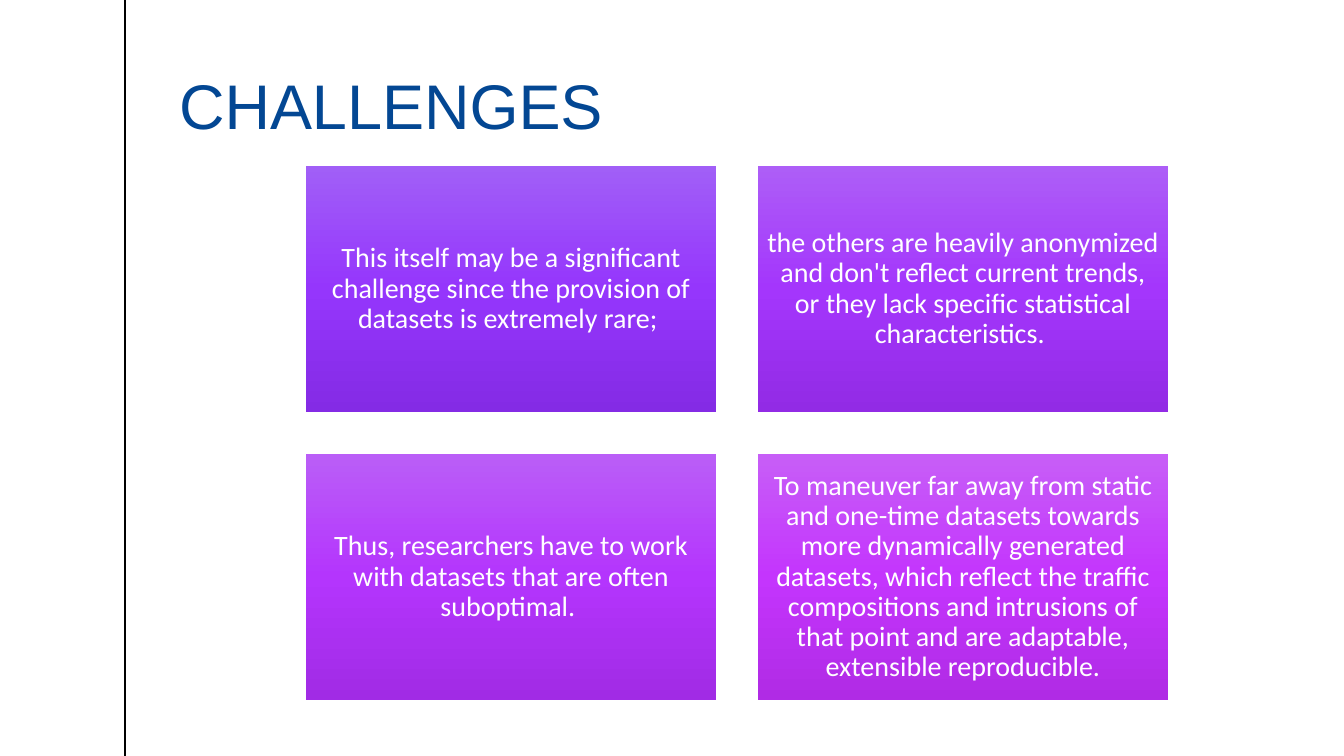
from copy import deepcopy

from lxml import etree
from pptx import Presentation
from pptx.dml.color import RGBColor
from pptx.enum.shapes import MSO_CONNECTOR, MSO_SHAPE
from pptx.enum.text import MSO_ANCHOR, MSO_AUTO_SIZE, PP_ALIGN
from pptx.oxml.ns import qn
from pptx.util import Pt

PX = 914400 / 100.8  # EMU in one pixel

BLACK = RGBColor(0x00, 0x00, 0x00)
WHITE = RGBColor(0xFF, 0xFF, 0xFF)
TITLE_BLUE = RGBColor(0x03, 0x47, 0x93)

# Text of each card with its top, middle and bottom gradient colours
CARDS = [
    ("This itself may be a significant challenge since the provision of "
     "datasets is extremely rare; ",
     (RGBColor(0xA1, 0x5F, 0xF7), RGBColor(0x95, 0x36, 0xFC), RGBColor(0x84, 0x2B, 0xE5))),
    ("the others are heavily anonymized and don't reflect current trends, "
     "or they lack specific statistical characteristics. ",
     (RGBColor(0xAD, 0x5E, 0xF7), RGBColor(0xA4, 0x36, 0xFC), RGBColor(0x92, 0x2B, 0xE5))),
    ("Thus, researchers have to work with datasets that are often suboptimal. ",
     (RGBColor(0xBA, 0x5E, 0xF7), RGBColor(0xB4, 0x35, 0xFD), RGBColor(0xA1, 0x2B, 0xE5))),
    ("To maneuver far away from static and one-time datasets towards more "
     "dynamically generated datasets, which reflect the traffic compositions "
     "and intrusions of that point and are adaptable, extensible reproducible.",
     (RGBColor(0xC7, 0x5E, 0xF7), RGBColor(0xC4, 0x35, 0xFD), RGBColor(0xB0, 0x2B, 0xE5))),
]
CARD_LEFT, CARD_TOP = 306, 166
CARD_WIDTH, CARD_HEIGHT = 410, 246
COLUMN_STEP, ROW_STEP = 452, 288


def px(*lengths):
    return [round(length * PX) for length in lengths]


def write_text(shape, text, insets, anchor, alignment, font_name, size, color):
    frame = shape.text_frame
    frame.word_wrap = True
    frame.auto_size = MSO_AUTO_SIZE.NONE
    frame.vertical_anchor = anchor
    frame.margin_left, frame.margin_top = px(*insets)
    frame.margin_right, frame.margin_bottom = px(*insets)
    paragraph = frame.paragraphs[0]
    paragraph.alignment = alignment
    paragraph.line_spacing = 0.9
    paragraph.space_before = Pt(0)
    run = paragraph.add_run()
    run.text = text
    run.font.name = font_name
    run.font.size = Pt(size)
    run.font.color.rgb = color


presentation = Presentation()
presentation.slide_width, presentation.slide_height = px(1344, 756)
slide = presentation.slides.add_slide(presentation.slide_layouts[5])

# Vertical rule at the left
rule = slide.shapes.add_connector(MSO_CONNECTOR.STRAIGHT, *px(125, 0, 125, 756))
rule.line.color.rgb = BLACK
rule.line.width = Pt(1)
etree.SubElement(rule._element.spPr, qn("a:effectLst"))

# Title
title = slide.shapes.title
title.left, title.top, title.width, title.height = px(179, 37, 1117, 111)
write_text(title, "CHALLENGES", (0, 5), MSO_ANCHOR.BOTTOM, PP_ALIGN.LEFT,
           "Arial", 45, TITLE_BLUE)

# Two by two grid of gradient cards
for index, (text, colors) in enumerate(CARDS):
    row, column = divmod(index, 2)
    card = slide.shapes.add_shape(MSO_SHAPE.RECTANGLE, *px(
        CARD_LEFT + column * COLUMN_STEP, CARD_TOP + row * ROW_STEP,
        CARD_WIDTH, CARD_HEIGHT))
    card.shadow.inherit = False
    card.line.fill.background()
    card.fill.gradient()
    card.fill.gradient_angle = 270
    first_stop = card._element.spPr.find(".//" + qn("a:gs"))
    first_stop.addnext(deepcopy(first_stop))
    for stop, position, color in zip(card.fill.gradient_stops, (0, 0.5, 1), colors):
        stop.position = position
        stop.color.rgb = color
    write_text(card, text, (8, 8), MSO_ANCHOR.MIDDLE, PP_ALIGN.CENTER,
               "Calibri", 20, WHITE)
    card.text_frame.paragraphs[0].space_after = Pt(7)

presentation.save("out.pptx")
